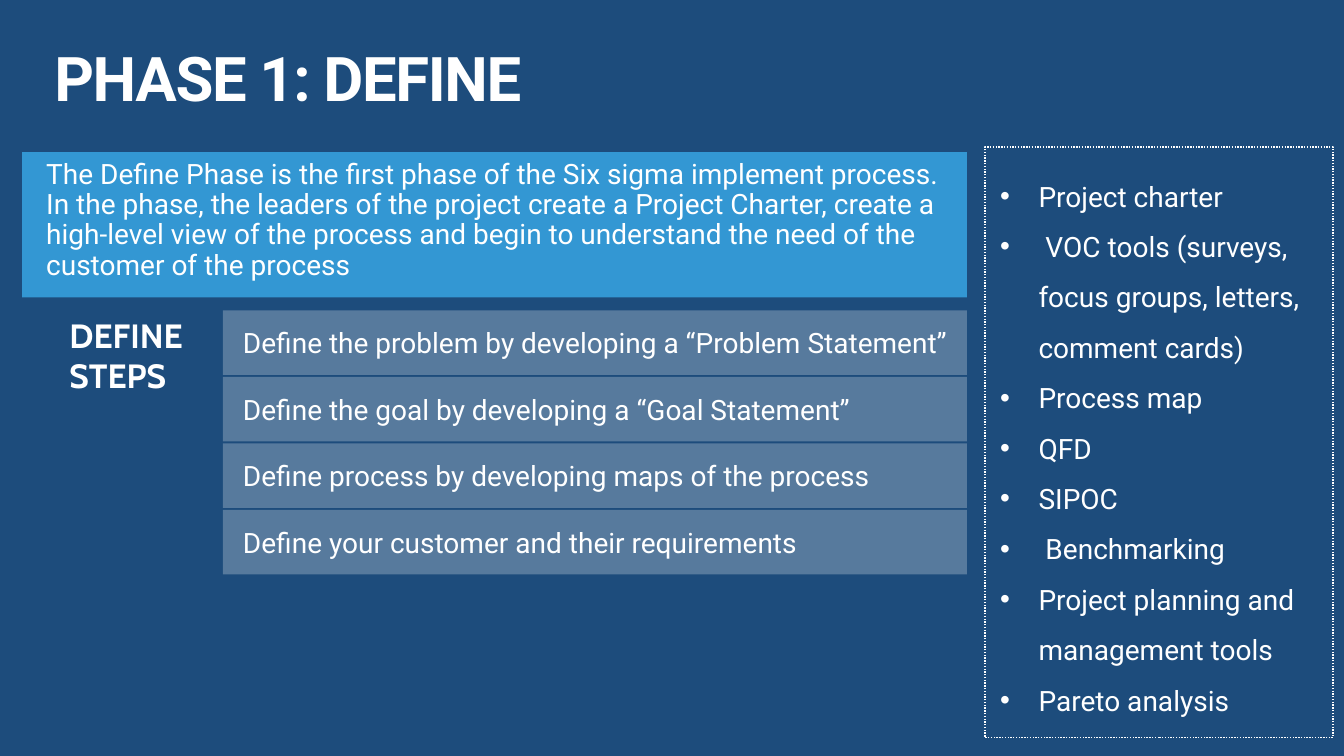
"""Build the slide on the Define phase: summary, steps and tools."""
from lxml import etree
from pptx import Presentation
from pptx import util as u
from pptx.dml.color import RGBColor
from pptx.enum import dml, shapes, text
from pptx.oxml import ns

TITLE = "PHASE 1: DEFINE"
SUMMARY = (
    "The Define Phase is the first phase of the Six sigma implement process. "
    "In the phase, the leaders of the project create a Project Charter, create a "
    "high-level view of the process and begin to understand the need of the "
    "customer of the process"
)
STEPS_LABEL = "DEFINE\vSTEPS"
STEPS = [
    "Define the problem by developing a “Problem Statement”",
    "Define the goal by developing a “Goal Statement”",
    "Define process by developing maps of the process",
    "Define your customer and their requirements",
]
TOOLS = [
    "Project charter",
    " VOC tools (surveys, focus groups, letters, comment cards)",
    "Process map",
    "QFD",
    "SIPOC",
    " Benchmarking",
    "Project planning and management tools",
    "Pareto analysis",
]

NAVY = RGBColor(0x1D, 0x4C, 0x7C)
BLUE = RGBColor(0x33, 0x97, 0xD3)
WHITE = RGBColor(0xFF, 0xFF, 0xFF)
STEP_TOP, STEP_PITCH, STEP_HEIGHT = 3.08, 0.66, 0.64
STEP_OPACITY = 26
TOOL_INDENT = u.Inches(0.38)


def add_box(slide, place, fill=None):
    box = slide.shapes.add_shape(shapes.MSO_SHAPE.RECTANGLE, *map(u.Inches, place))
    box.shadow.inherit = False
    box.line.fill.background()
    if fill is None:
        box.fill.background()
    else:
        box.fill.solid()
        box.fill.fore_color.rgb = fill
    return box


def write(shape, lines, size=20, font="Roboto", bold=False, spacing=1.0,
          insets=(0.1, 0.05, 0.1, 0.05), anchor=text.MSO_ANCHOR.TOP):
    frame = shape.text_frame
    frame.word_wrap = True
    frame.vertical_anchor = anchor
    (frame.margin_left, frame.margin_top,
     frame.margin_right, frame.margin_bottom) = map(u.Inches, insets)
    frame.text = "\n".join(lines)
    for para in frame.paragraphs:
        para.alignment = text.PP_ALIGN.LEFT
        para.line_spacing = spacing
        for span in para.runs:
            span.font.size = u.Pt(size)
            span.font.name = font
            span.font.bold = bold
            span.font.color.rgb = WHITE
    return frame


def add_label(slide, place, line, **style):
    box = slide.shapes.add_textbox(*map(u.Inches, place))
    return write(box, [line], **style)


def set_opacity(box, percent):
    color = box.fill._xPr.find(".//" + ns.qn("a:srgbClr"))
    etree.SubElement(color, ns.qn("a:alpha"), val=str(percent * 1000))


def add_bullet(para):
    settings = para._p.get_or_add_pPr()
    settings.set("marL", str(TOOL_INDENT))
    settings.set("indent", str(-TOOL_INDENT))
    etree.SubElement(settings, ns.qn("a:buFont"), typeface="Arial")
    etree.SubElement(settings, ns.qn("a:buChar"), char="•")


def main():
    deck = Presentation()
    deck.slide_width, deck.slide_height = u.Inches(13.33), u.Inches(7.5)
    slide = deck.slides.add_slide(deck.slide_layouts[6])
    slide.background.fill.solid()
    slide.background.fill.fore_color.rgb = NAVY

    tools_box = add_box(slide, (9.77, 1.46, 3.45, 5.86))
    tools_box.line.color.rgb = WHITE
    tools_box.line.width = u.Pt(1)
    tools_box.line.dash_style = dml.MSO_LINE.ROUND_DOT
    tools = write(tools_box, TOOLS, spacing=1.5, insets=(0.15, 0.15, 0.05, 0.05))
    for para in tools.paragraphs:
        add_bullet(para)

    add_box(slide, (0.22, 1.51, 9.37, 1.44), BLUE)
    add_label(slide, (0.36, 1.54, 9.23, 1.31), SUMMARY, spacing=0.9)

    for index, step in enumerate(STEPS):
        top = STEP_TOP + index * STEP_PITCH
        step_box = add_box(slide, (2.21, top, 7.38, STEP_HEIGHT), WHITE)
        set_opacity(step_box, STEP_OPACITY)
        write(step_box, [step], insets=(0.2, 0.05, 0.1, 0.05),
              anchor=text.MSO_ANCHOR.MIDDLE)

    add_label(slide, (0.59, 3.07, 1.45, 0.91), STEPS_LABEL,
              size=24, font="Cabin", bold=True)
    title = add_label(slide, (0.44, 0.43, 8.5, 0.88), TITLE,
                      size=44, bold=True, spacing=0.9)
    title.paragraphs[0].runs[0].font._element.set("spc", "-100")

    deck.save("out.pptx")


if __name__ == "__main__":
    main()
